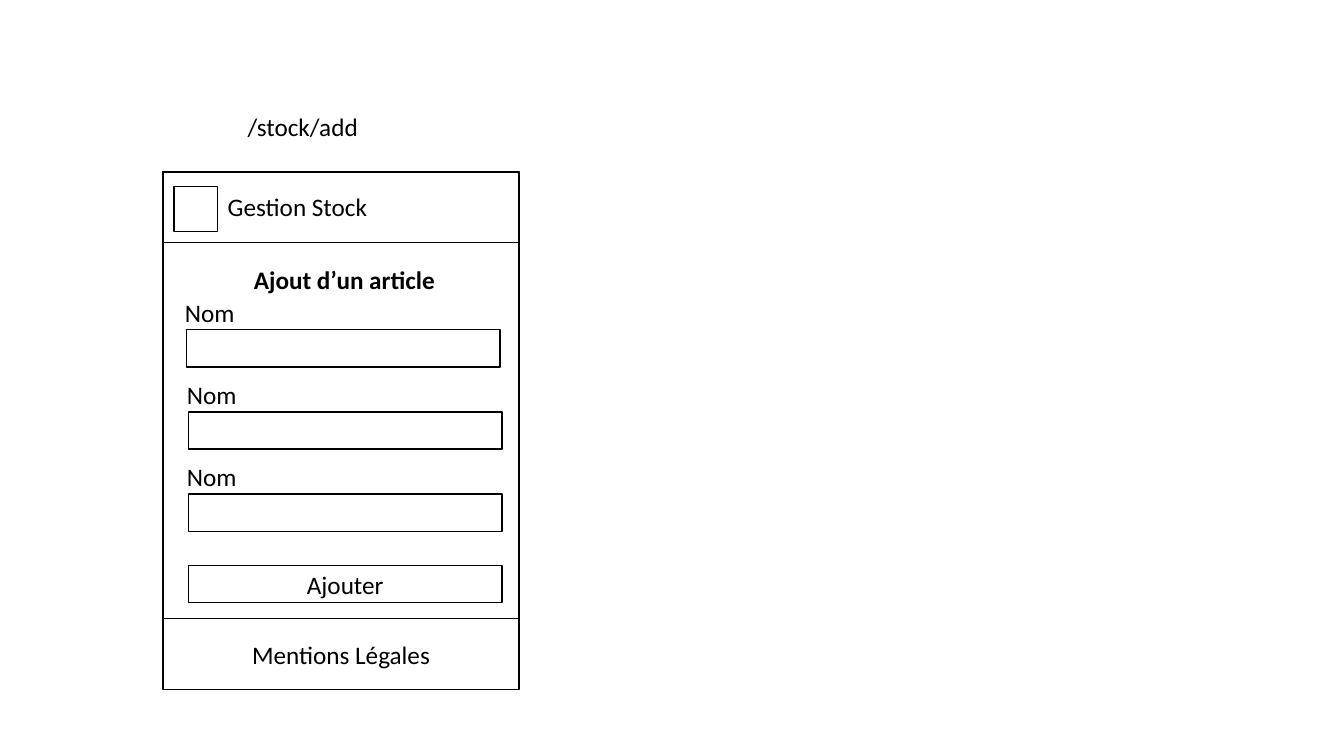
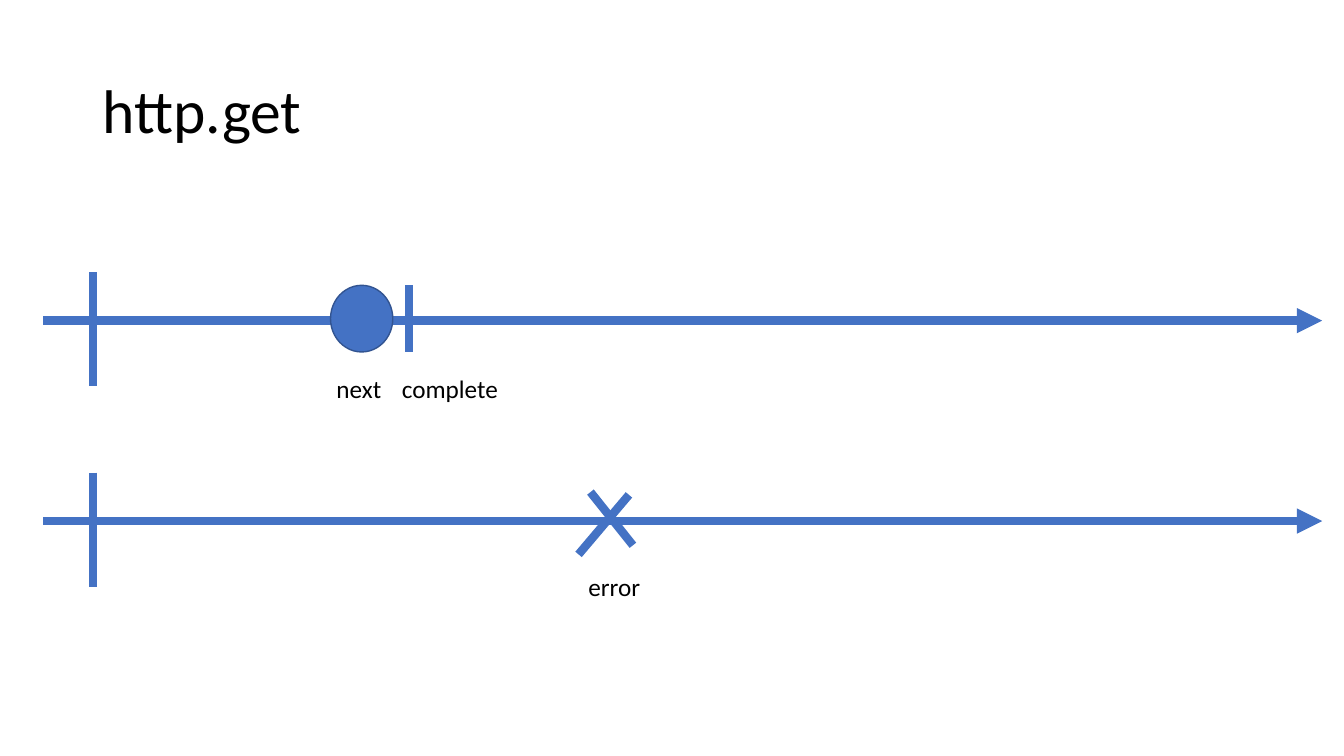
from dataclasses import dataclass

from lxml import etree
from pptx import Presentation
from pptx import util as u
from pptx.dml.color import RGBColor
from pptx.enum import shapes, text
from pptx.oxml.ns import qn


@dataclass(frozen=True)
class Theme:
    font: str = "Calibri"
    black: RGBColor = RGBColor(0x00, 0x00, 0x00)
    white: RGBColor = RGBColor(0xFF, 0xFF, 0xFF)
    blue: RGBColor = RGBColor(0x44, 0x72, 0xC4)
    dark_blue: RGBColor = RGBColor(0x32, 0x54, 0x91)
    title_size: int = 44
    body_size: int = 18
    outline: float = 1
    stroke: float = 6


class Deck:
    """Style and current slide; all lengths are in centimetres."""

    def __init__(self, theme):
        self.theme = theme
        self.prs = Presentation()
        self.prs.slide_width = u.Cm(33.87)
        self.prs.slide_height = u.Cm(19.05)
        self.s = None

    def new_slide(self):
        self.s = self.prs.slides.add_slide(self.prs.slide_layouts[6])

    def set_text(self, sp, words, size=None, bold=False, center=False):
        p = sp.text_frame.paragraphs[0]
        p.text = words
        p.alignment = text.PP_ALIGN.CENTER if center else text.PP_ALIGN.LEFT
        font = p.runs[0].font
        font.name = self.theme.font
        font.size = u.Pt(size or self.theme.body_size)
        font.bold = bold
        font.color.rgb = self.theme.black
        return p

    def shape(self, kind, x, y, w, h, fill, line):
        sp = self.s.shapes.add_shape(kind, u.Cm(x), u.Cm(y), u.Cm(w), u.Cm(h))
        sp.shadow.inherit = False
        sp.fill.solid()
        sp.fill.fore_color.rgb = fill
        sp.line.color.rgb = line
        sp.line.width = u.Pt(self.theme.outline)
        return sp

    def box(self, x, y, w, h, words=None):
        sp = self.shape(shapes.MSO_SHAPE.RECTANGLE, x, y, w, h,
                        self.theme.white, self.theme.black)
        if words:
            sp.text_frame.vertical_anchor = text.MSO_ANCHOR.MIDDLE
            self.set_text(sp, words, center=True)

    def dot(self, x, y, w, h):
        self.shape(shapes.MSO_SHAPE.OVAL, x, y, w, h,
                   self.theme.blue, self.theme.dark_blue)

    def label(self, x, y, w, words, bold=False, center=False):
        sp = self.s.shapes.add_textbox(u.Cm(x), u.Cm(y), u.Cm(w), u.Cm(1.02))
        sp.text_frame.word_wrap = center
        sp.text_frame.auto_size = text.MSO_AUTO_SIZE.SHAPE_TO_FIT_TEXT
        self.set_text(sp, words, bold=bold, center=center)

    def title(self, words):
        sp = self.s.shapes.add_textbox(u.Cm(2.34), u.Cm(1.02),
                                       u.Cm(29.21), u.Cm(3.68))
        sp.text_frame.word_wrap = True
        sp.text_frame.vertical_anchor = text.MSO_ANCHOR.MIDDLE
        p = self.set_text(sp, words, size=self.theme.title_size)
        p.line_spacing = 0.9

    def line(self, x1, y1, x2, y2, arrow=False):
        c = self.s.shapes.add_connector(shapes.MSO_CONNECTOR.STRAIGHT,
                                        u.Cm(x1), u.Cm(y1), u.Cm(x2), u.Cm(y2))
        c.line.color.rgb = self.theme.blue
        c.line.width = u.Pt(self.theme.stroke)
        sp_pr = c._element.spPr
        if arrow:
            etree.SubElement(sp_pr.find(qn("a:ln")), qn("a:tailEnd"),
                             type="triangle")
        etree.SubElement(sp_pr, qn("a:effectLst"))

    def timeline(self, y):
        self.line(1.09, y, 33.32, y, arrow=True)
        self.line(2.34, y - 1.22, 2.34, y + 1.65)


def add_form_slide(d):
    d.new_slide()
    # Page frame with header and footer bands
    left, top, width, height, band = 4.11, 4.34, 8.97, 11.25, 1.78
    d.box(left, top, width, height)
    d.box(left, top, width, band)
    d.box(left, top + height, width, band, "Mentions Légales")
    d.box(4.39, 4.7, 1.09, 1.14)
    d.label(5.49, 4.7, 4.06, "Gestion Stock")
    d.label(5.77, 6.53, 5.82, "Ajout d’un article", bold=True, center=True)

    # Form fields and button
    field_w, field_h, pitch = 7.9, 0.94, 2.07
    for i, x in enumerate((4.7, 4.75, 4.75)):
        y = 8.31 + i * pitch
        d.box(x, y, field_w, field_h)
        d.label(x - 0.29, y - field_h, 1.78, "Nom")
    d.box(4.75, 14.25, field_w, field_h, "Ajouter")

    # Route above the page
    d.label(5.99, 2.69, 3.33, "/stock/add")


def add_timeline_slide(d):
    d.new_slide()
    d.title("http.get")

    # Success: next, then complete
    d.timeline(8.08)
    event_top, event_h = 7.19, 1.68
    d.dot(8.33, event_top, 1.57, event_h)
    d.line(10.31, event_top, 10.31, event_top + event_h)
    d.label(8.23, 9.27, 1.65, "next")
    d.label(9.88, 9.27, 2.97, "complete")

    # Failure: a cross marks the error
    d.timeline(13.13)
    d.label(14.58, 14.27, 1.83, "error")
    d.line(14.88, 12.4, 15.95, 13.74)
    d.line(15.85, 12.47, 14.58, 13.97)


def main():
    d = Deck(Theme())
    add_form_slide(d)
    add_timeline_slide(d)
    d.prs.save("out.pptx")


if __name__ == "__main__":
    main()
